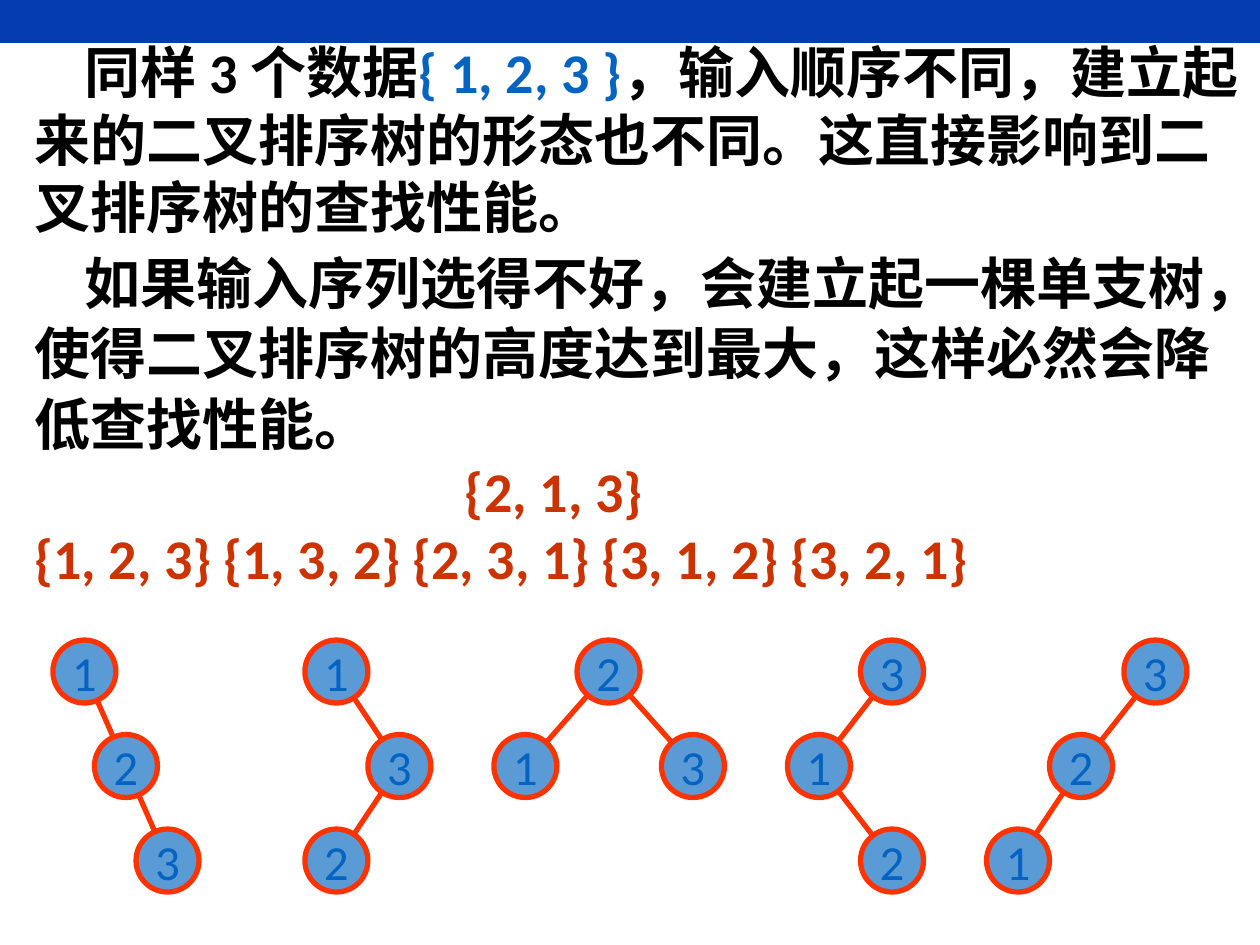
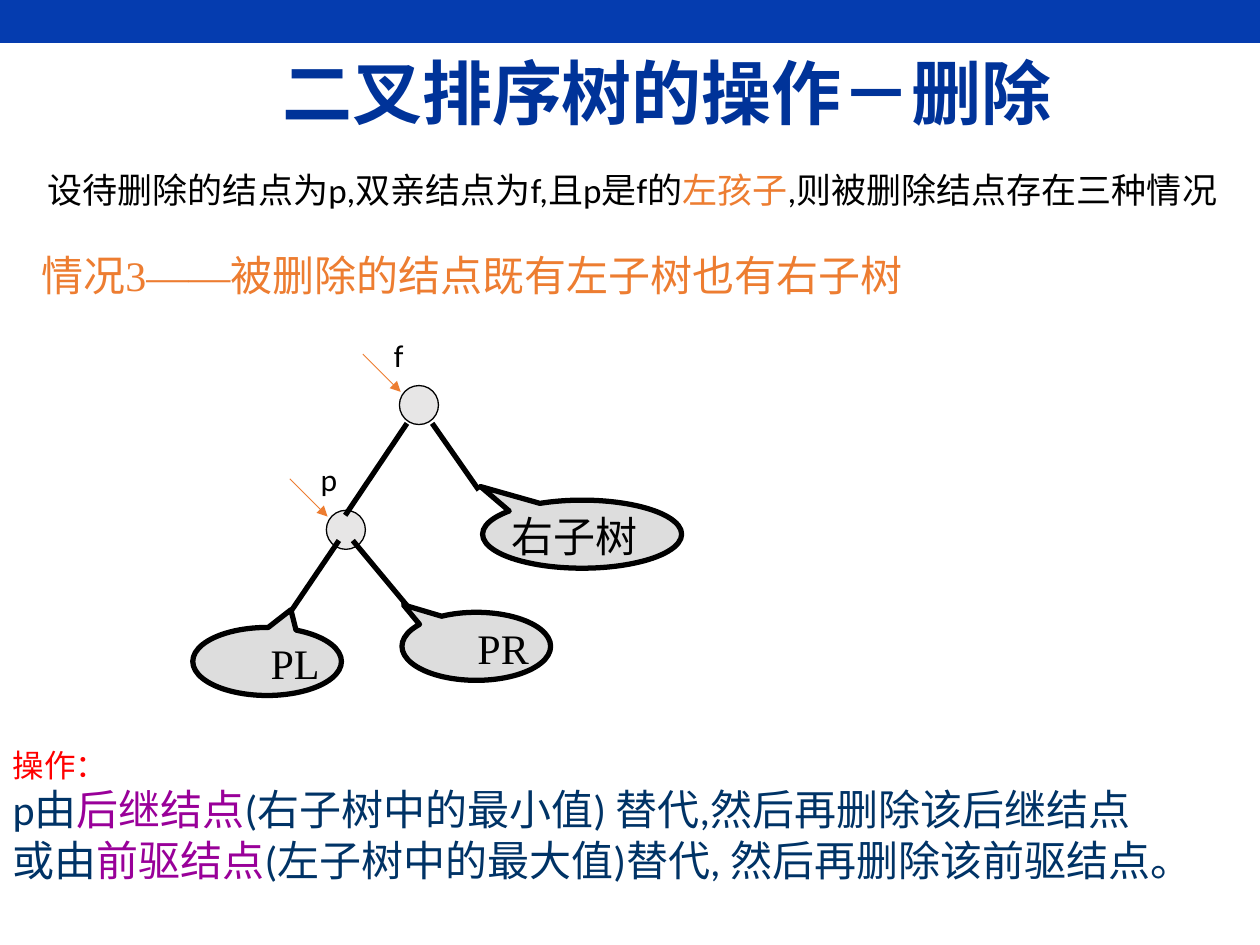
import dataclasses

import pptx
import pptx.dml.color
import pptx.enum.shapes
import pptx.enum.text
import pptx.oxml
import pptx.oxml.ns
import pptx.util
from pptx.util import Inches

SHAPE = pptx.enum.shapes.MSO_SHAPE
ALIGN = pptx.enum.text.PP_ALIGN
ANCHOR = pptx.enum.text.MSO_ANCHOR


@dataclasses.dataclass(frozen=True)
class Theme:
    sans: str = "Calibri"
    serif: str = "Times New Roman"
    band: str = "053CAF"
    title: str = "003399"
    ink: str = "000000"
    blue: str = "0563C1"
    sequence: str = "CC3300"
    node: str = "5B9BD5"
    edge: str = "FF3300"
    accent: str = "ED7D31"
    pale: str = "E7E6E6"
    callout: str = "DDDDDD"
    red: str = "FF0000"
    navy: str = "003366"
    purple: str = "990099"
    title_size: int = 40
    body_size: int = 32
    node_size: int = 28
    case_size: int = 24
    intro_size: int = 20
    label_size: int = 18
    thick: float = 3
    thin: float = 0.75
    hair: float = 0.5


T = Theme()
NODE = 0.5
NODE_TOP = 5.08
LEVEL_GAP = 0.75
EDGE_TRIM = 0.22

# Each node: value, left, level, index of its parent
TREES = [
    [("1", 0.42, 0, None), ("2", 0.75, 1, 0), ("3", 1.08, 2, 1)],
    [("1", 2.42, 0, None), ("3", 2.92, 1, 0), ("2", 2.42, 2, 1)],
    [("2", 4.58, 0, None), ("1", 3.92, 1, 0), ("3", 5.25, 1, 0)],
    [("3", 6.83, 0, None), ("1", 6.25, 1, 0), ("2", 6.83, 2, 1)],
    [("3", 8.92, 0, None), ("2", 8.33, 1, 0), ("1", 7.83, 2, 1)],
]


def rgb(color):
    return pptx.dml.color.RGBColor.from_string(color)


def sub(parent, tag, **attributes):
    child = pptx.oxml.parse_xml(f"<{tag} {pptx.oxml.ns.nsdecls('a')}/>")
    for name, value in attributes.items():
        child.set(name, str(value))
    parent.append(child)
    return child


def place(shape, left, top, width, height):
    shape.left, shape.top = Inches(left), Inches(top)
    shape.width, shape.height = Inches(width), Inches(height)


def prepare(tf, anchor=ANCHOR.TOP, wrap=True):
    tf.auto_size = pptx.enum.text.MSO_AUTO_SIZE.NONE
    tf.vertical_anchor = anchor
    tf.word_wrap = wrap
    return tf


def paragraph(tf, runs, size, font=T.sans, bold=False, align=ALIGN.LEFT,
              margin=0, indent=0, tabs=(), before=0, spacing=1.0):
    p = tf.paragraphs[0] if not tf.paragraphs[0].runs else tf.add_paragraph()
    pPr = p._p.get_or_add_pPr()
    pPr.set("marL", str(Inches(margin)))
    pPr.set("indent", str(Inches(indent)))
    sub(pPr, "a:buNone")
    if tabs:
        stops = sub(pPr, "a:tabLst")
        for tab in tabs:
            sub(stops, "a:tab", pos=Inches(tab), algn="l")
    p.alignment = align
    p.line_spacing = spacing
    p.space_before = pptx.util.Pt(before)
    for text, color in runs:
        r = p.add_run()
        r.text = text
        r.font.name = font
        r.font.size = pptx.util.Pt(size)
        r.font.bold = bold
        r.font.color.rgb = rgb(color)


def text_box(s, box, runs, size, wrap=True, **style):
    tf = prepare(s.shapes.add_textbox(*map(Inches, box)).text_frame, wrap=wrap)
    paragraph(tf, runs, size, **style)


def shape(s, kind, box, fill, line=None, weight=T.thin):
    sp = s.shapes.add_shape(kind, *map(Inches, box))
    sp.shadow.inherit = False
    sp.fill.solid()
    sp.fill.fore_color.rgb = rgb(fill)
    if line:
        sp.line.color.rgb = rgb(line)
        sp.line.width = pptx.util.Pt(weight)
    else:
        sp.line.fill.background()
    return sp


def line(s, start, end, color, weight, arrow=False):
    cx = s.shapes.add_connector(pptx.enum.shapes.MSO_CONNECTOR.STRAIGHT,
                                *map(Inches, (*start, *end)))
    cx.line.color.rgb = rgb(color)
    cx.line.width = pptx.util.Pt(weight)
    if arrow:
        sub(cx.line._get_or_add_ln(), "a:tailEnd", type="triangle")
    sub(cx._element.spPr, "a:effectLst")


def tree_node(s, value, left, level):
    box = (left, NODE_TOP + level * LEVEL_GAP, NODE, NODE)
    sp = shape(s, SHAPE.OVAL, box, T.node, T.edge, T.thick)
    tf = prepare(sp.text_frame, ANCHOR.MIDDLE, wrap=False)
    paragraph(tf, [(value, T.blue)], T.node_size, align=ALIGN.CENTER)


def tree(s, nodes):
    centers = [(left + NODE / 2, NODE_TOP + level * LEVEL_GAP + NODE / 2)
               for _, left, level, _ in nodes]
    for (x, y), (_, _, _, parent) in zip(centers, nodes):
        if parent is not None:
            px, py = centers[parent]
            dx, dy = (x - px) * EDGE_TRIM, (y - py) * EDGE_TRIM
            line(s, (px + dx, py + dy), (x - dx, y - dy), T.edge, T.thick)
    for value, left, level, _ in nodes:
        tree_node(s, value, left, level)


def pointed_node(s, name, left, top, label_box):
    shape(s, SHAPE.OVAL, (left, top, 0.31, 0.31), T.pale, T.ink)
    line(s, (left - 0.29, top - 0.25), (left + 0.01, top + 0.05),
         T.accent, T.hair, arrow=True)
    text_box(s, label_box, [(name, T.ink)], T.label_size, wrap=False,
             align=ALIGN.CENTER)


def callout(s, text, box, tip, align):
    sp = shape(s, SHAPE.OVAL_CALLOUT, box, T.callout, T.ink, T.thick)
    sp.adjustments[0], sp.adjustments[1] = tip
    tf = prepare(sp.text_frame)
    tf.margin_left = tf.margin_right = tf.margin_top = tf.margin_bottom = 0
    paragraph(tf, [(text, T.ink)], T.case_size, T.serif, align=align)


def add_master_band(prs, s):
    band = shape(s, SHAPE.RECTANGLE, (0, 0, 10, 0.34), T.band).element
    band.nvSpPr.cNvPr.set("id", "100")
    prs.slide_master.shapes.element.insert(2, band)


def input_order_slide(prs):
    s = prs.slides.add_slide(prs.slide_layouts[1])
    add_master_band(prs, s)
    title = s.shapes.title.element
    title.getparent().remove(title)
    body = s.placeholders[1]
    place(body, 0.17, 0.25, 9.83, 4.5)
    tf = prepare(body.text_frame)
    paragraph(tf, [
        ("同样 3 个数据", T.ink),
        ("{ 1, 2, 3 }", T.blue),
        ("，输入顺序不同，建立起来的二叉排序树的形态也不同。"
         "这直接影响到二叉排序树的查找性能。", T.ink),
    ], T.body_size, bold=True, indent=0.4)
    paragraph(tf, [
        ("如果输入序列选得不好，会建立起一棵单支树，"
         "使得二叉排序树的高度达到最大，这样必然会降低查找性能。", T.ink),
    ], T.body_size, bold=True, indent=0.4, before=3, spacing=1.05)
    paragraph(tf, [("{2, 1, 3}", T.sequence)], T.body_size, bold=True,
              margin=3.42)
    sequences = ["{1, 2, 3}", "{1, 3, 2}", "{2, 3, 1}", "{3, 1, 2}", "{3, 2, 1}"]
    paragraph(tf, [("\t".join(sequences), T.sequence)], T.body_size, bold=True,
              tabs=(1.71, 3.62, 5.54, 7.35))
    for nodes in TREES:
        tree(s, nodes)


def deletion_slide(prs):
    s = prs.slides.add_slide(prs.slide_layouts[1])
    place(s.shapes.title, 2.14, 0.35, 6.4, 0.75)
    paragraph(prepare(s.shapes.title.text_frame, ANCHOR.MIDDLE),
              [("二叉排序树的操作－删除", T.title)], T.title_size, T.serif, bold=True)

    text_box(s, (0.27, 1.29, 9.5, 0.43), [
        ("设待删除的结点为p,双亲结点为f,且p是f的", T.ink),
        ("左孩子", T.accent),
        (",则被删除结点存在三种情况", T.ink),
    ], T.intro_size, align=ALIGN.CENTER)
    text_box(s, (0.23, 1.93, 9.48, 0.5),
             [("情况3——被删除的结点既有左子树也有右子树", T.accent)],
             T.case_size, font=T.serif)

    pointed_node(s, "f", 3.17, 3.06, (3.03, 2.62, 0.27, 0.4))
    pointed_node(s, "p", 2.59, 4.05, (2.44, 3.6, 0.34, 0.4))
    for start, end in [((3.43, 3.36), (3.8, 3.89)), ((3.23, 3.36), (2.74, 4.09)),
                       ((2.69, 4.29), (2.29, 4.88)), ((2.8, 4.29), (3.25, 4.83))]:
        line(s, start, end, T.ink, T.thick)
    callout(s, "右子树", (3.83, 3.97, 1.58, 0.54), (-0.51, -0.7), ALIGN.JUSTIFY)
    callout(s, "PL", (1.53, 4.98, 1.18, 0.54), (0.16, -0.76), ALIGN.RIGHT)
    callout(s, "PR", (3.19, 4.86, 1.18, 0.54), (-0.49, -0.61), ALIGN.RIGHT)

    body = s.placeholders[1]
    place(body, 0, 5.87, 10, 1.37)
    tf = prepare(body.text_frame)
    paragraph(tf, [("操作：", T.red)], T.label_size, T.serif)
    for lead, node, rest in [
        ("p由", "后继结点", "(右子树中的最小值) 替代,然后再删除该后继结点"),
        ("或由", "前驱结点", "(左子树中的最大值)替代, 然后再删除该前驱结点。"),
    ]:
        paragraph(tf, [(lead, T.navy), (node, T.purple), (rest, T.navy)],
                  T.case_size)


def main():
    prs = pptx.Presentation()
    prs.slide_width, prs.slide_height = Inches(10), Inches(7.5)
    input_order_slide(prs)
    deletion_slide(prs)
    prs.save("out.pptx")


if __name__ == "__main__":
    main()
